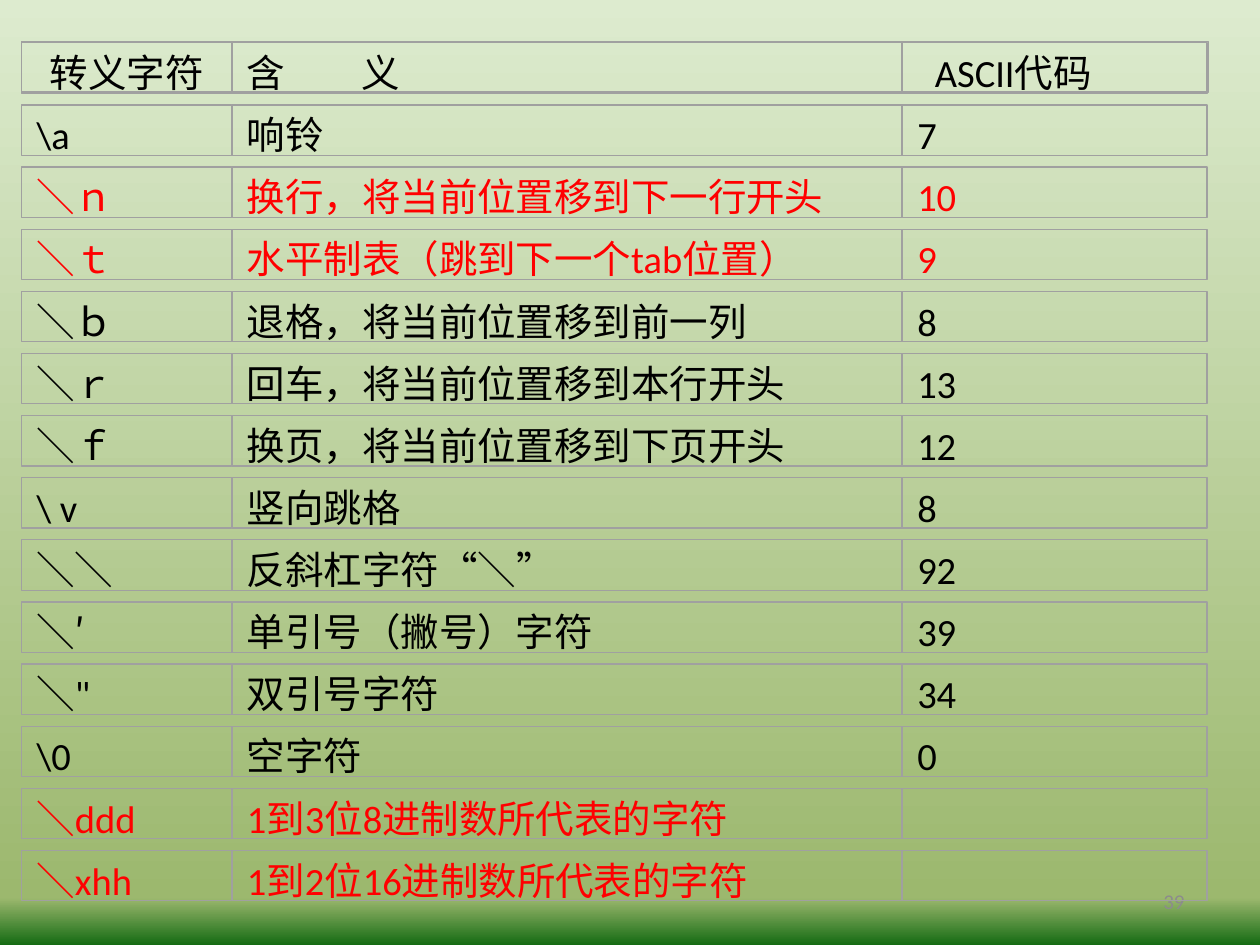
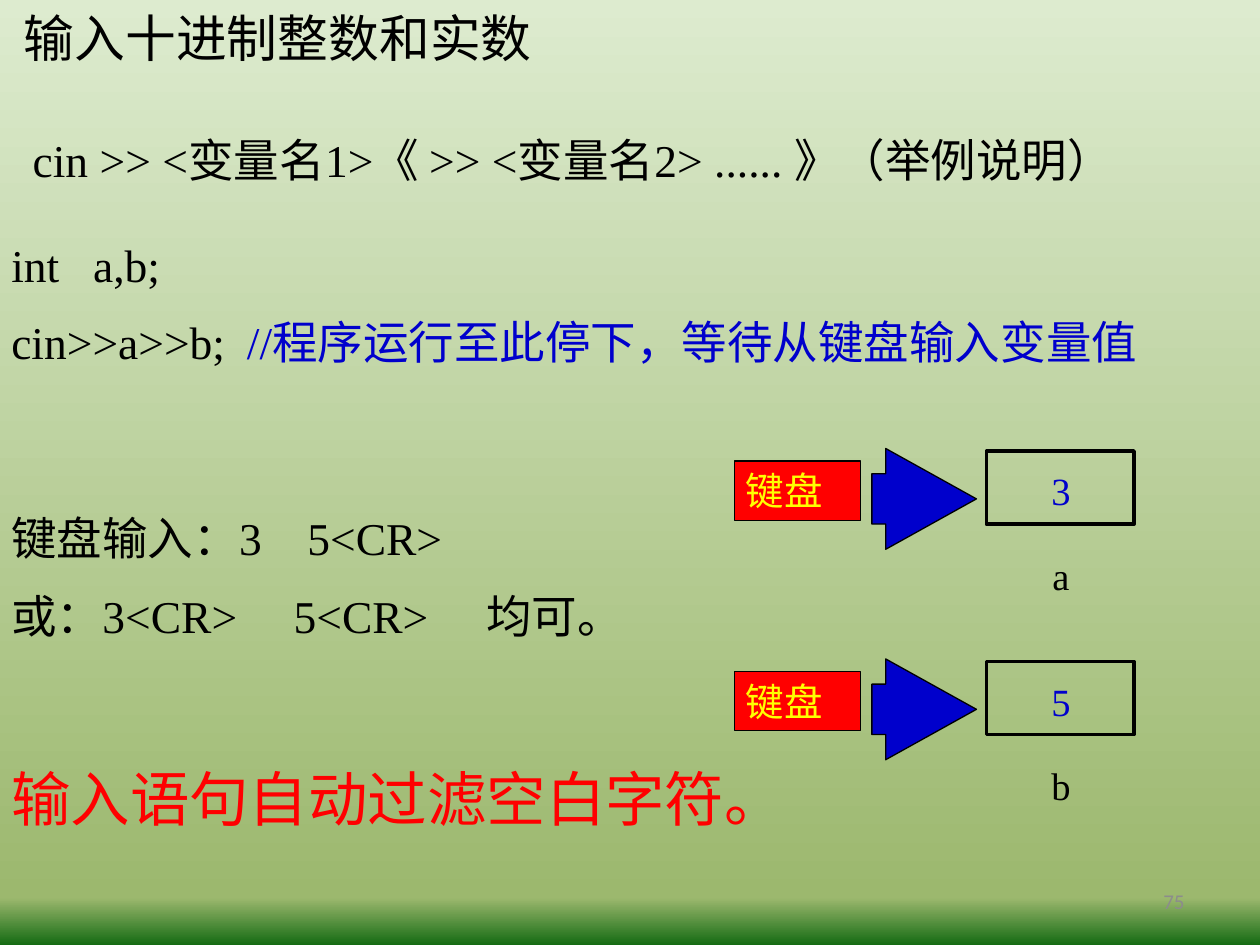
import copy

import pptx
import pptx.dml.color
import pptx.enum.shapes
import pptx.enum.text
import pptx.oxml.ns
import pptx.util
from lxml import etree
from pptx.util import Inches

SHAPE = pptx.enum.shapes.MSO_SHAPE
ALIGN = pptx.enum.text.PP_ALIGN
ANCHOR = pptx.enum.text.MSO_ANCHOR
qn = pptx.oxml.ns.qn

COLORS = {
    "sky": "DDEBCF", "meadow": "9CB86E", "forest": "156B13",
    "ink": "000000", "alert": "FF0000", "value": "0000CC",
    "key": "FFFF00", "grid": "A0A0A0", "page": "8C8C8C",
}
SERIF = "Times New Roman"
CELL_INSETS = (0, 0.05, 0, 0.05)
TEXT_INSETS = (0.09, 0.05, 0.09, 0.05)

ESCAPES = [
    ("\\a", "响铃", "7", "ink"),
    ("＼ｎ", "换行，将当前位置移到下一行开头", "10", "alert"),
    ("＼ｔ", "水平制表（跳到下一个tab位置）", "9", "alert"),
    ("＼ｂ", "退格，将当前位置移到前一列", "8", "ink"),
    ("＼ｒ", "回车，将当前位置移到本行开头", "13", "ink"),
    ("＼ｆ", "换页，将当前位置移到下页开头", "12", "ink"),
    ("\\ v", "竖向跳格", "8", "ink"),
    ("＼＼", [("反斜杠字符", {}), ("“", {"name": "Courier New"}), ("＼", {}),
            ("”", {"name": "Courier New"})], "92", "ink"),
    ("＼′", "单引号（撇号）字符", "39", "ink"),
    ("＼\"", "双引号字符", "34", "ink"),
    ("\\0", "空字符", "0", "ink"),
    ("＼ddd", "1到3位8进制数所代表的字符", "", "alert"),
    ("＼xhh", "1到2位16进制数所代表的字符", "", "alert"),
]


def rgb(color):
    return pptx.dml.color.RGBColor.from_string(COLORS[color])


class Deck:
    """Holds the presentation, its shared style and the current slide."""

    def __init__(self):
        self.prs = pptx.Presentation()
        self.prs.slide_width, self.prs.slide_height = Inches(10), Inches(7.5)
        self.slide = None
        self.paint_background()

    def paint_background(self):
        master = self.prs.slide_master
        fill = master.background.fill
        fill.gradient()
        fill.gradient_angle = 270
        stops = master.element.find(".//" + qn("a:gsLst"))
        stops.append(copy.deepcopy(stops[-1]))
        for stop, color, place in zip(fill.gradient_stops,
                                      ("sky", "meadow", "forest"), (0, 0.95, 1)):
            stop.color.rgb = rgb(color)
            stop.position = place

    def new_slide(self, layout, number):
        self.slide = self.prs.slides.add_slide(
            self.prs.slide_layouts.get_by_name(layout))
        self.text((7.17, 6.95, 2.33, 0.4), [str(number)], size=12, name="Calibri",
                  color="page", align=ALIGN.RIGHT, anchor=ANCHOR.MIDDLE,
                  insets=(0.1, 0.05, 0.1, 0.05))

    def fill_text(self, frame, lines, size=22, name=SERIF, color="ink",
                  align=ALIGN.LEFT, anchor=ANCHOR.TOP, insets=TEXT_INSETS,
                  tabs=(), indent=0):
        """Fill a frame; a line is a string or a list of (text, font changes)."""
        sides = ("margin_left", "margin_top", "margin_right", "margin_bottom")
        settings = {"word_wrap": True, "vertical_anchor": anchor,
                    "auto_size": pptx.enum.text.MSO_AUTO_SIZE.NONE}
        settings.update(zip(sides, map(Inches, insets)))
        for key, setting in settings.items():
            setattr(frame, key, setting)
        for index, line in enumerate(lines):
            paragraph = frame.add_paragraph() if index else frame.paragraphs[0]
            paragraph.alignment = align
            paragraph.space_before = pptx.util.Pt(size / 2 if index else 0)
            properties = paragraph._p.get_or_add_pPr()
            if indent:
                properties.set("marL", str(Inches(indent)))
            if tabs:
                stops = etree.SubElement(properties, qn("a:tabLst"))
                for place in tabs[index]:
                    etree.SubElement(stops, qn("a:tab"), pos=str(Inches(place)),
                                     algn="l")
            for words, changes in [(line, {})] if isinstance(line, str) else line:
                run = paragraph.add_run()
                run.text = words
                look = {"name": name, "size": pptx.util.Pt(size), "color": color}
                look.update(changes)
                run.font.color.rgb = rgb(look.pop("color"))
                for key, setting in look.items():
                    setattr(run.font, key, setting)

    def text(self, at, lines, **style):
        box = self.slide.shapes.add_textbox(*map(Inches, at))
        self.fill_text(box.text_frame, lines, **style)

    def title(self, at, heading, **style):
        holder = self.slide.shapes.title
        for key, length in zip(("left", "top", "width", "height"), at):
            setattr(holder, key, Inches(length))
        self.fill_text(holder.text_frame, [heading], **style)

    def shape(self, at, kind=SHAPE.RECTANGLE, fill=None, line="ink", width=0.75):
        item = self.slide.shapes.add_shape(kind, *map(Inches, at))
        item.shadow.inherit = False
        if fill:
            item.fill.solid()
            item.fill.fore_color.rgb = rgb(fill)
        else:
            item.fill.background()
        item.line.color.rgb = rgb(line)
        item.line.width = pptx.util.Pt(width)
        return item

    def cell(self, left, top, width, pad, content, **style):
        if content:
            self.text((left + pad, top, width - 2 * pad, 0.49), [content],
                      name="Calibri", insets=CELL_INSETS, **style)
        self.shape((left, top, width, 0.4), line="grid", width=0)


def escape_slide(deck):
    deck.new_slide("Blank", 39)
    columns = [(0.17, 1.67), (1.84, 5.32), (7.16, 2.42)]
    top, pitch, pad = 0.34, 6.41 / len(ESCAPES), 0.12
    headings = [("转义字符", {"align": ALIGN.CENTER}),
                ("含\t义", {"align": ALIGN.JUSTIFY, "tabs": [[0.91]]}),
                ("ASCII代码", {"align": ALIGN.JUSTIFY, "indent": 0.14})]
    for (left, width), (heading, style) in zip(columns, headings):
        deck.cell(left, top, width, pad, heading, **style)
    for row, (*contents, color) in enumerate(ESCAPES, start=1):
        for (left, width), content in zip(columns, contents):
            deck.cell(left, top + row * pitch, width, pad, content,
                      color=color, align=ALIGN.JUSTIFY)
    deck.shape((0.17, 0.33, 9.42, 0.4), line="grid")


def variable(deck, top, value, name):
    """Show the keyboard sending a value into a named variable."""
    deck.shape((7.83, top, 1.17, 0.58), width=2.25)
    for offset, label, color in ((0.75, name, "ink"), (0.08, value, "value")):
        deck.text((7.92, top + offset, 1, 0.46), [label], color=color,
                  align=ALIGN.CENTER)
    keyboard = deck.shape((5.83, top + 0.08, 1, 0.47), fill="alert")
    deck.fill_text(keyboard.text_frame, ["键盘"], color="key")
    arrow = deck.shape((6.92, top - 0.02, 0.83, 0.8), SHAPE.RIGHT_ARROW, fill="value")
    arrow.adjustments[0], arrow.adjustments[1] = 0.5, 0.9


def input_slide(deck):
    deck.new_slide("Title Only", 75)
    deck.title((0, 0, 8.33, 0.58), "输入十进制整数和实数", size=29, name="Arial",
               align=ALIGN.JUSTIFY, insets=(0.19, 0.05, 0.09, 0.05))
    deck.text((0.17, 1, 9.83, 0.53),
              ["cin >> <变量名1>《 >> <变量名2> ...... 》（举例说明）"],
              size=26, align=ALIGN.JUSTIFY)
    deck.text((0, 1.83, 10, 1.18),
              ["int\ta,b;",
               [("cin>>a>>b;\t", {}),
                ("//程序运行至此停下，等待从键盘输入变量值", {"color": "value"})]],
              size=26, tabs=[[0.65], [1.87]])
    deck.text((0, 4, 5.79, 1.18),
              ["键盘输入：3\t5<CR>", "或：3<CR>\t5<CR>\t均可。"],
              size=26, tabs=[[2.35], [2.24, 3.77]])
    deck.text((0, 6, 9.83, 0.67), ["输入语句自动过滤空白字符。"], size=34, color="alert")
    variable(deck, 3.58, "3", "a")
    variable(deck, 5.25, "5", "b")


def main():
    deck = Deck()
    escape_slide(deck)
    input_slide(deck)
    deck.prs.save("out.pptx")


if __name__ == "__main__":
    main()
